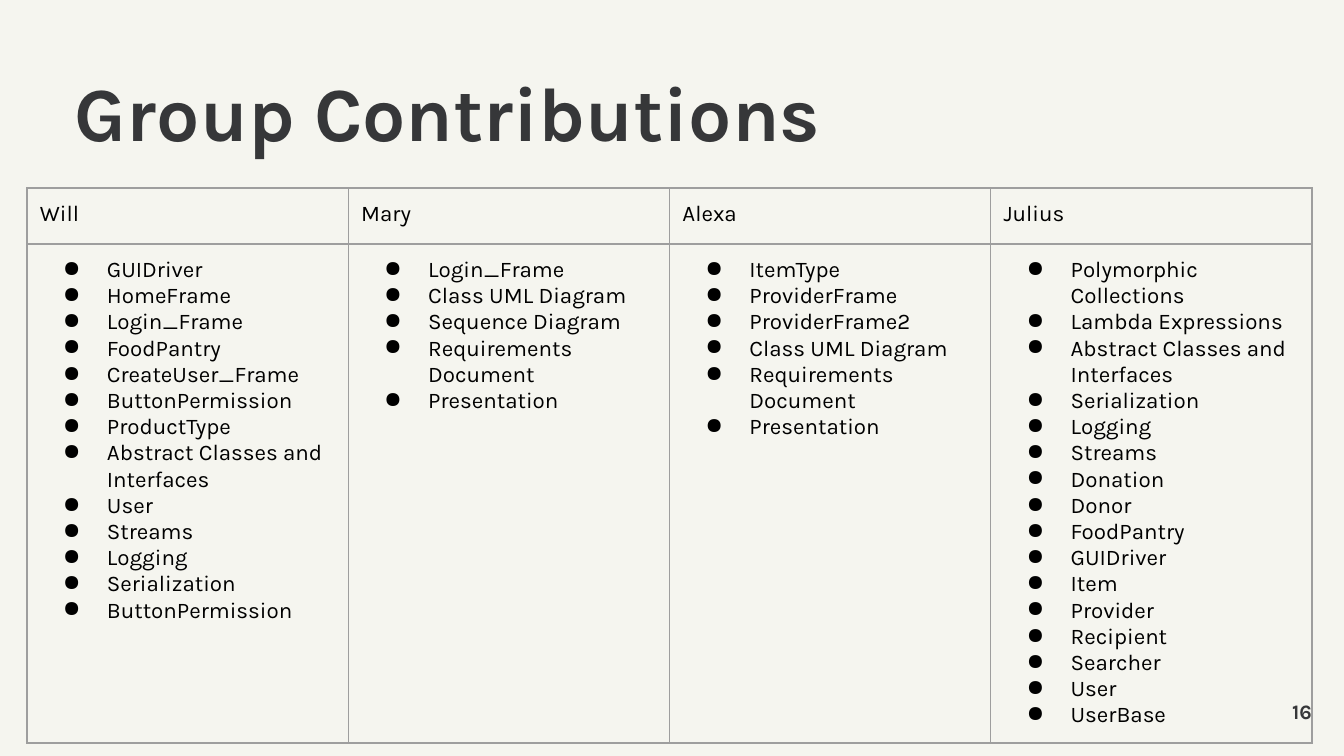
"""Build the group contributions slide: a title, a page number and a table of members."""
import dataclasses

import lxml.etree
import pptx
import pptx.dml.color
import pptx.enum.text
import pptx.oxml.ns
import pptx.util

PX = 9144000 / 1344
FONT = "Karla"
INK = "363739"
BLACK = "000000"
RULE = "9E9E9E"
PAPER = "F5F5EF"
CELL_MARGIN = 13
BULLET_INDENT = 67
BULLET_HANG = 44


@dataclasses.dataclass(frozen=True)
class Box:
    """A rectangle in px."""
    left: int
    top: int
    width: int
    height: int

    def emu(self) -> tuple[int, int, int, int]:
        """Return left, top, width and height in EMU."""
        return px(self.left), px(self.top), px(self.width), px(self.height)


@dataclasses.dataclass(frozen=True)
class Member:
    """A group member and their contributions."""
    name: str
    contributions: tuple[str, ...]


TITLE_BOX = Box(75, 75, 953, 106)
NUMBER_BOX = Box(1231, 698, 81, 27)
TABLE_BOX = Box(27, 188, 1285, 555)
HEADER_HEIGHT = 56

MEMBERS = (
    Member("Will", (
        "GUIDriver", "HomeFrame", "Login_Frame", "FoodPantry", "CreateUser_Frame",
        "ButtonPermission", "ProductType", "Abstract Classes and Interfaces", "User",
        "Streams", "Logging", "Serialization", "ButtonPermission")),
    Member("Mary", (
        "Login_Frame", "Class UML Diagram", "Sequence Diagram",
        "Requirements Document", "Presentation")),
    Member("Alexa", (
        "ItemType", "ProviderFrame", "ProviderFrame2", "Class UML Diagram",
        "Requirements Document", "Presentation")),
    Member("Julius", (
        "Polymorphic Collections", "Lambda Expressions",
        "Abstract Classes and Interfaces", "Serialization", "Logging", "Streams",
        "Donation", "Donor", "FoodPantry", "GUIDriver", "Item", "Provider",
        "Recipient", "Searcher", "User", "UserBase")),
)


def px(length: int) -> int:
    """Turn px into EMU."""
    return round(length * PX)


def color(value: str) -> pptx.dml.color.RGBColor:
    """Turn a hex string into a colour."""
    return pptx.dml.color.RGBColor.from_string(value)


def add_element(parent, tag: str, **attributes: str):
    """Append a DrawingML element and return it."""
    return lxml.etree.SubElement(parent, pptx.oxml.ns.qn(f"a:{tag}"), **attributes)


def format_text(frame, size: int, ink: str, bold: bool = False) -> None:
    """Set the font of every run in a text frame."""
    for para in frame.paragraphs:
        for span in para.runs:
            span.font.name = FONT
            span.font.size = pptx.util.Pt(size)
            span.font.bold = bold
            span.font.color.rgb = color(ink)


def fill_frame(frame, text: str, size: int, anchor, alignment) -> None:
    """Write bold text into a frame without margins."""
    frame.text = text
    frame.word_wrap = True
    frame.auto_size = pptx.enum.text.MSO_AUTO_SIZE.NONE
    frame.vertical_anchor = anchor
    frame.margin_left = frame.margin_right = frame.margin_top = frame.margin_bottom = 0
    frame.paragraphs[0].alignment = alignment
    format_text(frame, size, INK, bold=True)


def add_bullet(para) -> None:
    """Give a paragraph a black round bullet with a hanging indent."""
    properties = para._p.get_or_add_pPr()
    properties.set("marL", str(px(BULLET_INDENT)))
    properties.set("indent", str(-px(BULLET_HANG)))
    add_element(add_element(properties, "buClr"), "srgbClr", val=BLACK)
    add_element(properties, "buChar", char="●")


def fill_cell(cell, text: str) -> None:
    """Write text into a clear cell with thin borders."""
    cell.text_frame.text = text
    format_text(cell.text_frame, 12, BLACK)
    margin = px(CELL_MARGIN)
    cell.margin_left = cell.margin_right = cell.margin_top = cell.margin_bottom = margin
    properties = cell._tc.get_or_add_tcPr()
    for side in ("lnL", "lnR", "lnT", "lnB"):
        line = add_element(properties, side, w=str(pptx.util.Pt(0.75)))
        add_element(add_element(line, "solidFill"), "srgbClr", val=RULE)
    cell.fill.background()


def add_members(page, box: Box, members: tuple[Member, ...]) -> None:
    """Add a table with one column for each member."""
    table = page.shapes.add_table(2, len(members), *box.emu()).table
    table.first_row = table.horz_banding = False
    table.rows[0].height = px(HEADER_HEIGHT)
    table.rows[1].height = px(box.height - HEADER_HEIGHT)
    for index, member in enumerate(members):
        table.columns[index].width = round(px(box.width) / len(members))
        fill_cell(table.cell(0, index), member.name)
        body = table.cell(1, index)
        fill_cell(body, "\n".join(member.contributions))
        for para in body.text_frame.paragraphs:
            add_bullet(para)


def main() -> None:
    """Build and save the deck."""
    deck = pptx.Presentation()
    deck.slide_width, deck.slide_height = px(1344), px(756)
    page = deck.slides.add_slide(deck.slide_layouts[5])
    page.background.fill.solid()
    page.background.fill.fore_color.rgb = color(PAPER)

    title = page.shapes.title
    title.left, title.top, title.width, title.height = TITLE_BOX.emu()
    fill_frame(title.text_frame, "Group Contributions", 41,
               pptx.enum.text.MSO_ANCHOR.TOP, pptx.enum.text.PP_ALIGN.LEFT)
    title.text_frame.paragraphs[0].line_spacing = 0.9

    number = page.shapes.add_textbox(*NUMBER_BOX.emu())
    fill_frame(number.text_frame, "16", 11,
               pptx.enum.text.MSO_ANCHOR.MIDDLE, pptx.enum.text.PP_ALIGN.RIGHT)

    add_members(page, TABLE_BOX, MEMBERS)
    deck.save("out.pptx")


if __name__ == "__main__":
    main()
